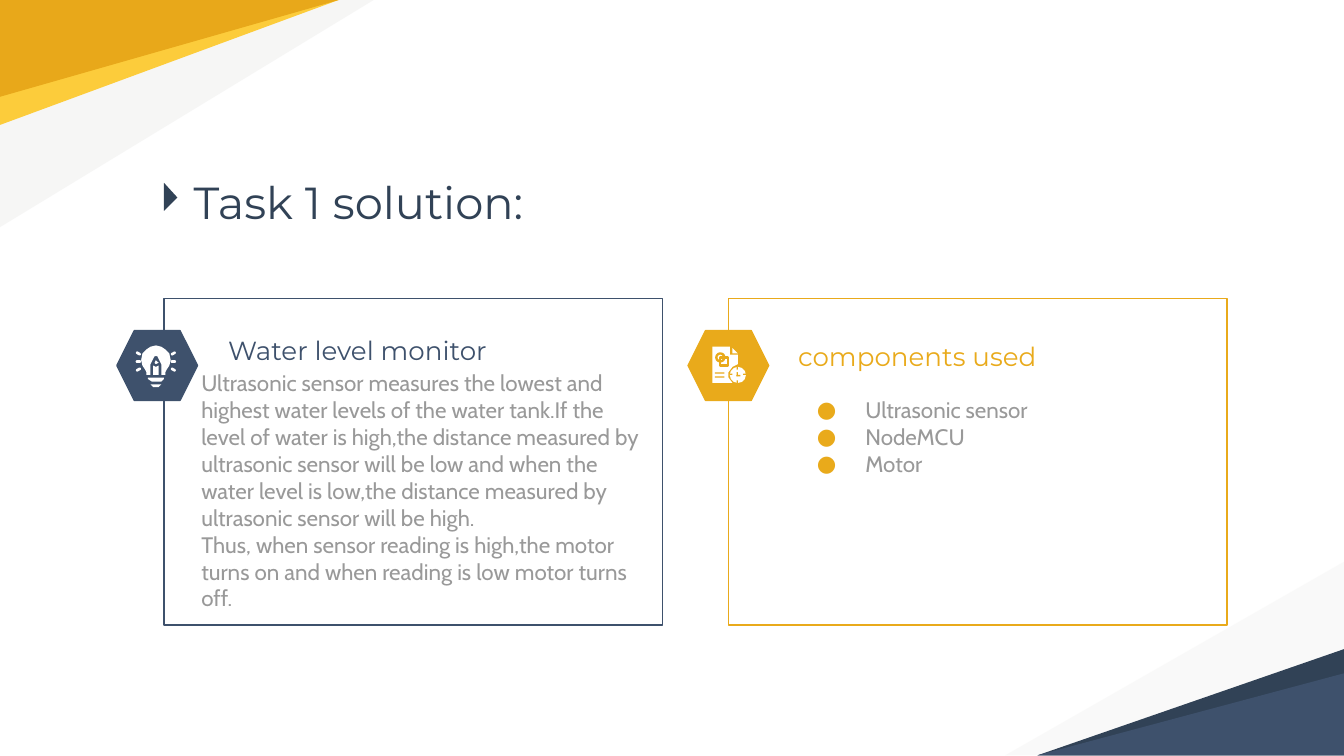
"""Build the Task 1 solution slide: water level monitor and components used."""
from lxml import etree
from pptx import Presentation
from pptx.dml.color import RGBColor
from pptx.enum.shapes import MSO_SHAPE
from pptx.enum.text import MSO_ANCHOR, MSO_AUTO_SIZE, PP_ALIGN
from pptx.oxml.ns import qn
from pptx.util import Inches, Pt

RECTANGLE, OVAL, HEXAGON = MSO_SHAPE.RECTANGLE, MSO_SHAPE.OVAL, MSO_SHAPE.HEXAGON
ROUNDED = MSO_SHAPE.ROUNDED_RECTANGLE
TOP, BOTTOM = MSO_ANCHOR.TOP, MSO_ANCHOR.BOTTOM
NO_FIT, LEFT = MSO_AUTO_SIZE.NONE, PP_ALIGN.LEFT
COLORS = {
    "amber": "E9AA1B", "gold": "E8A81A", "yellow": "FCCC3B", "blue": "3E516C",
    "navy": "314256", "mist": "EDEDEB", "gray": "999999", "white": "FFFFFF",
}

deck = Presentation()
deck.slide_width, deck.slide_height = Inches(10), Inches(10 * 9 / 16)
page = deck.slides.add_slide(deck.slide_layouts[5])


def draw(kind, place, fill=None, line=None, width=0.75, opacity=None):
    """Add a preset shape at place, or a polygon through place if kind is None."""
    if kind is None:
        points = [(Inches(x), Inches(y)) for x, y in place]
        builder = page.shapes.build_freeform(*points[0])
        builder.add_line_segments(points[1:], close=True)
        shape = builder.convert_to_shape()
    else:
        shape = page.shapes.add_shape(kind, *map(Inches, place))
    shape.shadow.inherit = False
    if fill:
        shape.fill.solid()
        shape.fill.fore_color.rgb = RGBColor.from_string(COLORS[fill])
    else:
        shape.fill.background()
    if line:
        shape.line.color.rgb = RGBColor.from_string(COLORS[line])
        shape.line.width = Pt(width)
    else:
        shape.line.fill.background()
    if opacity:
        color = shape.fill._xPr.find(qn("a:solidFill"))[0]
        etree.SubElement(color, qn("a:alpha"), val=str(opacity * 1000))
    return shape


def write(text, place, size, color, font="Montserrat", anchor=BOTTOM,
          spacing=1.15, bullet=None, box=None):
    """Put text, one paragraph a line, into box or into a new text box."""
    box = box or page.shapes.add_textbox(*map(Inches, place))
    box.left, box.top, box.width, box.height = map(Inches, place)
    frame = box.text_frame
    frame.word_wrap, frame.auto_size, frame.vertical_anchor = True, NO_FIT, anchor
    frame.margin_left = frame.margin_right = Inches(0.1)
    frame.margin_top = frame.margin_bottom = Inches(0.1)
    frame.text = text
    for para in frame.paragraphs:
        para.alignment, para.line_spacing = LEFT, spacing
        para.space_before = Pt(0)
        if bullet:
            settings = para._p.get_or_add_pPr()
            settings.set("marL", str(Inches(0.5)))
            settings.set("indent", str(Inches(-0.36)))
            mark = etree.SubElement(settings, qn("a:buClr"))
            etree.SubElement(mark, qn("a:srgbClr"), val=COLORS[bullet])
            etree.SubElement(settings, qn("a:buFont"), typeface=font)
            etree.SubElement(settings, qn("a:buChar"), char="●")
        for span in para.runs:
            span.font.size, span.font.name = Pt(size), font
            span.font.color.rgb = RGBColor.from_string(COLORS[color])


for left, color in [(5.42, "amber"), (1.22, "blue")]:
    draw(RECTANGLE, (left, 2.22, 3.71, 2.43), line=color)

wedges = [
    ([(7.48, 5.62), (10, 4.18), (10, 5.62)], "mist", 28),
    ([(7.72, 5.62), (10, 4.83), (10, 5.62)], "navy", None),
    ([(7.72, 5.62), (10, 5.01), (10, 5.62)], "blue", None),
    ([(0, 0), (2.78, 0), (0, 1.69)], "mist", 48),
    ([(0, 0), (2.52, 0), (0, 0.93)], "yellow", None),
    ([(0, 0), (2.52, 0), (0, 0.72)], "gold", None),
]
for corners, color, opacity in wedges:
    draw(None, corners, fill=color, opacity=opacity)

write("Task 1 solution:", (1.34, 1.27, 7.31, 0.53), 24, "navy", box=page.shapes.title)
draw(None, [(1.22, 1.36), (1.32, 1.47), (1.22, 1.57)], fill="navy")
write("Water level monitor", (1.6, 2.46, 3.14, 0.36), 14, "blue")
write("components used", (5.84, 2.51, 3.14, 0.36), 14, "amber")

for left, color in [(5.12, "amber"), (0.87, "blue")]:
    badge = draw(HEXAGON, (left, 2.46, 0.6, 0.52), fill=color, line=color)
    badge.adjustments[0] = 0.25

document = [(5.3, 2.58), (5.43, 2.58), (5.43, 2.64), (5.49, 2.64), (5.49, 2.71),
            (5.45, 2.73), (5.42, 2.77), (5.42, 2.81), (5.45, 2.85), (5.3, 2.85)]
draw(None, document, fill="white")
draw(None, [(5.45, 2.59), (5.49, 2.63), (5.45, 2.63)], fill="white")
draw(OVAL, (5.33, 2.63, 0.06, 0.06), line="amber", width=1.25)
draw(RECTANGLE, (5.36, 2.66, 0.06, 0.06), line="amber", width=1.25)
for top in (2.77, 2.8):
    draw(RECTANGLE, (5.32, top, 0.07, 0.01), fill="amber")
draw(OVAL, (5.43, 2.73, 0.12, 0.12), fill="white")
clock_marks = [(5.48, 2.73, 0.01, 0.02), (5.48, 2.83, 0.01, 0.02),
               (5.43, 2.78, 0.02, 0.01), (5.53, 2.78, 0.02, 0.01),
               (5.48, 2.77, 0.01, 0.03), (5.48, 2.79, 0.03, 0.01)]
for mark_place in clock_marks:
    draw(ROUNDED, mark_place, fill="amber")

bulb_middle = 1.16
for side in (-1, 1):
    for drop, reach, turn in [(-0.06, 0.13, -30), (0, 0.13, 0), (0.06, 0.13, 30)]:
        ray = draw(ROUNDED, (bulb_middle + side * reach - 0.02, 2.68 + drop, 0.04, 0.02),
                   fill="white")
        ray.adjustments[0] = 0.5
        ray.rotation = side * turn
bulb_half = [(0, 2.57), (0.04, 2.58), (0.07, 2.6), (0.1, 2.63), (0.11, 2.68),
             (0.1, 2.72), (0.08, 2.75), (0.07, 2.77), (0.07, 2.79), (0.04, 2.79),
             (0.04, 2.71), (0.01, 2.65)]
bulb = [(bulb_middle + x, y) for x, y in bulb_half]
bulb += [(bulb_middle - x, y) for x, y in reversed(bulb_half)]
draw(None, bulb, fill="white")
pencil = [(1.14, 2.72), (1.16, 2.73), (1.18, 2.72), (1.18, 2.79), (1.14, 2.79)]
pencil_tip = [(1.16, 2.68), (1.18, 2.7), (1.16, 2.71), (1.15, 2.7)]
socket = [(1.1, 2.81), (1.22, 2.81), (1.22, 2.82), (1.2, 2.84), (1.13, 2.84), (1.1, 2.82)]
socket_foot = [(1.12, 2.86), (1.2, 2.86), (1.18, 2.88), (1.14, 2.88)]
for part in (pencil, pencil_tip, socket, socket_foot):
    draw(None, part, fill="white")

write("Ultrasonic sensor measures the lowest and highest water levels of the water "
      "tank.If the level of water is high,the distance measured by ultrasonic sensor "
      "will be low and when the water level is low,the distance measured by ultrasonic "
      "sensor will be high.\nThus, when sensor reading is high,the motor turns on and "
      "when reading is low motor turns off.",
      (1.4, 2.65, 3.53, 1.64), 12, "gray", font="Cabin", anchor=TOP, spacing=1.0)
write("Ultrasonic sensor\nNodeMCU\nMotor", (5.84, 2.85, 3.19, 0.99), 12, "gray",
      font="Cabin", anchor=TOP, spacing=1.0, bullet="amber")

deck.save("out.pptx")
